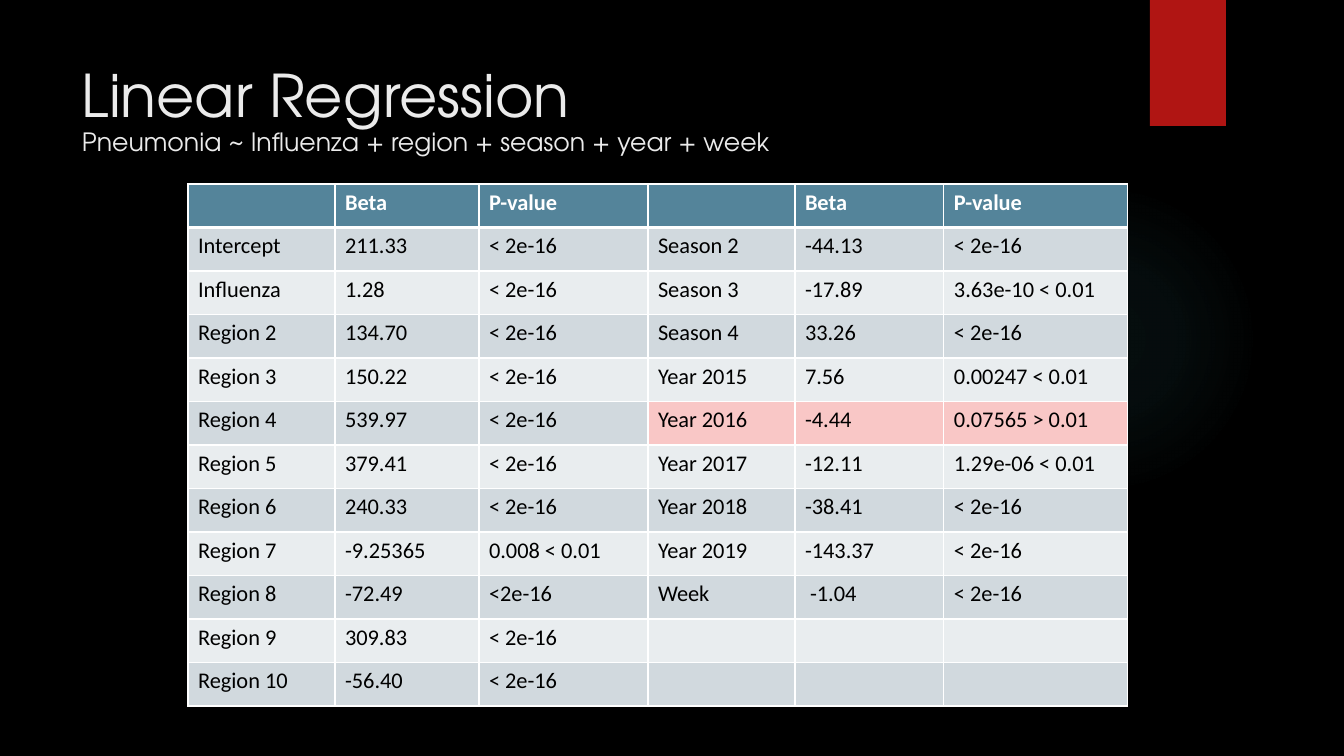
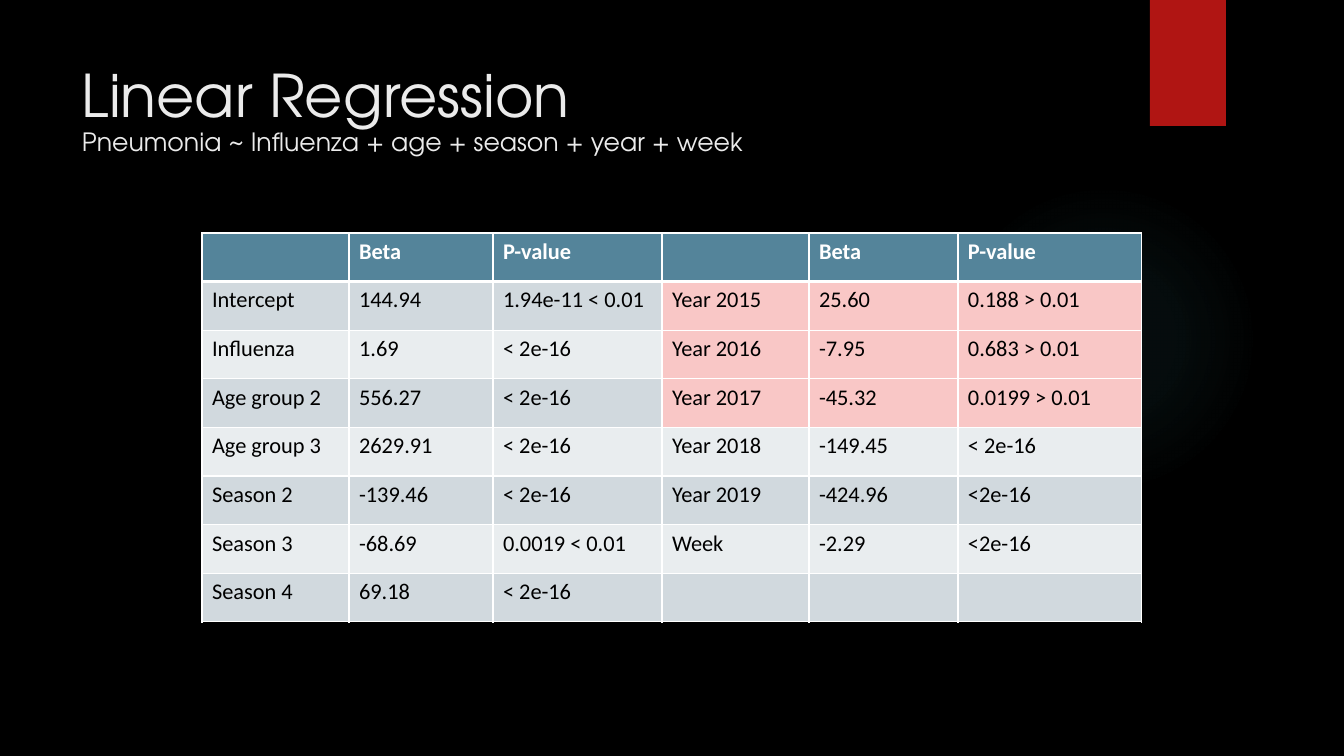
from dataclasses import dataclass

from lxml import etree
from pptx import Presentation, util as u
from pptx.dml.color import RGBColor
from pptx.enum import shapes, text
from pptx.oxml import ns, parse_xml

BLACK = RGBColor(0x00, 0x00, 0x00)
WHITE = RGBColor(0xFF, 0xFF, 0xFF)
TITLE_COLOR = RGBColor(0xEB, 0xEB, 0xEB)
RED = RGBColor(0xB0, 0x15, 0x13)
GLOW = RGBColor(0x50, 0xB9, 0xC1)
HEADER = RGBColor(0x54, 0x84, 0x9A)
BAND_DARK = RGBColor(0xD1, 0xD9, 0xDE)
BAND_LIGHT = RGBColor(0xE9, 0xED, 0xEF)
HIGHLIGHT = RGBColor(0xF9, 0xC7, 0xC6)

TITLE_FONT = "TeX Gyre Adventor"
TABLE_FONT = "Calibri"
PX_PER_INCH = 100.8
COLUMN_WIDTHS = (147, 144, 169, 147, 149, 184)
HALF = len(COLUMN_WIDTHS) // 2
HEADINGS = ("", "Beta", "P-value") * 2
GLOW_STOPS = ((0, 7), (36, 6), (69, 0))
SMALL = "< 2e-16"
EMPTY = ("", "", "")


@dataclass(frozen=True)
class RegressionSlide:
    formula: str
    left: int
    top: int
    height: int
    rows: tuple[tuple[str, ...], ...]


REGRESSIONS = (
    RegressionSlide(
        "Pneumonia ~ Influenza + region + season + year + week", 188, 184, 522,
        (
            ("Intercept", "211.33", SMALL, "Season 2", "-44.13", SMALL),
            ("Influenza", "1.28", SMALL, "Season 3", "-17.89", "3.63e-10 < 0.01"),
            ("Region 2", "134.70", SMALL, "Season 4", "33.26", SMALL),
            ("Region 3", "150.22", SMALL, "Year 2015", "7.56", "0.00247 < 0.01"),
            ("Region 4", "539.97", SMALL, "Year 2016", "-4.44", "0.07565 > 0.01"),
            ("Region 5", "379.41", SMALL, "Year 2017", "-12.11", "1.29e-06 < 0.01"),
            ("Region 6", "240.33", SMALL, "Year 2018", "-38.41", SMALL),
            ("Region 7", "-9.25365", "0.008 < 0.01", "Year 2019", "-143.37", SMALL),
            ("Region 8", "-72.49", "<2e-16", "Week", " -1.04", SMALL),
            ("Region 9", "309.83", SMALL, *EMPTY),
            ("Region 10", "-56.40", SMALL, *EMPTY),
        ),
    ),
    RegressionSlide(
        "Pneumonia ~ Influenza + age + season + year + week", 202, 233, 389,
        (
            ("Intercept", "144.94", "1.94e-11 < 0.01", "Year 2015", "25.60", "0.188 > 0.01"),
            ("Influenza", "1.69", SMALL, "Year 2016", "-7.95", "0.683 > 0.01"),
            ("Age group 2", "556.27", SMALL, "Year 2017", "-45.32", "0.0199 > 0.01"),
            ("Age group 3", "2629.91", SMALL, "Year 2018", "-149.45", SMALL),
            ("Season 2", "-139.46", SMALL, "Year 2019", "-424.96", "<2e-16"),
            ("Season 3", "-68.69", "0.0019 < 0.01", "Week", "-2.29", "<2e-16"),
            ("Season 4", "69.18", SMALL, *EMPTY),
        ),
    ),
)


def px(length: float) -> int:
    return round(length * 914400 / PX_PER_INCH)


def write(paragraph, content: str, *, font: str, size: int, color: RGBColor, bold: bool = False) -> None:
    run = paragraph.add_run()
    run.text = content
    run.font.name = font
    run.font.size = u.Pt(size)
    run.font.bold = bold
    run.font.color.rgb = color


def add_plain_shape(slide, kind, left: int, top: int, width: int, height: int):
    shape = slide.shapes.add_shape(kind, px(left), px(top), px(width), px(height))
    shape.shadow.inherit = False
    shape.line.fill.background()
    return shape


def add_glow(slide) -> None:
    glow = add_plain_shape(slide, shapes.MSO_SHAPE.OVAL, 949, 184, 310, 310)
    stops = "".join(
        f'<a:gs pos="{position * 1000}"><a:srgbClr val="{GLOW}">'
        f'<a:alpha val="{alpha * 1000}"/></a:srgbClr></a:gs>'
        for position, alpha in GLOW_STOPS
    )
    gradient = parse_xml(
        f'<a:gradFill {ns.nsdecls("a")} rotWithShape="1"><a:gsLst>{stops}</a:gsLst>'
        '<a:path path="circle"><a:fillToRect l="50000" t="50000" r="50000" b="50000"/>'
        '</a:path></a:gradFill>'
    )
    glow.element.spPr.find(ns.qn("a:prstGeom")).addnext(gradient)


def add_ribbon(slide) -> None:
    ribbon = add_plain_shape(slide, shapes.MSO_SHAPE.RECTANGLE, 1150, 0, 76, 126)
    ribbon.fill.solid()
    ribbon.fill.fore_color.rgb = RED


def add_title(slide, formula: str) -> None:
    frame = slide.shapes.add_textbox(px(72), px(50), px(1037), px(154)).text_frame
    frame.word_wrap = True
    frame.vertical_anchor = text.MSO_ANCHOR.MIDDLE
    frame.margin_bottom = px(35)
    paragraph = frame.paragraphs[0]
    paragraph.line_spacing = 0.9
    write(paragraph, "Linear Regression", font=TITLE_FONT, size=42, color=TITLE_COLOR)
    paragraph.add_line_break()
    write(paragraph, formula, font=TITLE_FONT, size=18, color=TITLE_COLOR)


def set_borders(cell, *, top: int, bottom: int) -> None:
    properties = cell._tc.get_or_add_tcPr()
    edges = (("lnL", 1), ("lnR", 1), ("lnT", top), ("lnB", bottom))
    for index, (edge, width) in enumerate(edges):
        line = etree.Element(ns.qn(f"a:{edge}"), w=str(u.Pt(width)))
        fill = etree.SubElement(line, ns.qn("a:solidFill"))
        etree.SubElement(fill, ns.qn("a:srgbClr"), val=str(WHITE))
        properties.insert(index, line)


def cell_fill(row: tuple[str, ...], row_index: int, column_index: int) -> RGBColor:
    if row_index == 0:
        return HEADER
    p_value = row[HALF - 1 if column_index < HALF else -1]
    if ">" in p_value:
        return HIGHLIGHT
    return BAND_DARK if row_index % 2 else BAND_LIGHT


def add_regression_table(slide, regression: RegressionSlide) -> None:
    rows = (HEADINGS, *regression.rows)
    table = slide.shapes.add_table(
        len(rows), len(COLUMN_WIDTHS), px(regression.left), px(regression.top),
        px(sum(COLUMN_WIDTHS)), px(regression.height),
    ).table
    table.horz_banding = False
    for column, width in zip(table.columns, COLUMN_WIDTHS):
        column.width = px(width)
    for row_index, row in enumerate(rows):
        table.rows[row_index].height = px(regression.height / len(rows))
        is_header = row_index == 0
        for column_index, content in enumerate(row):
            cell = table.cell(row_index, column_index)
            cell.fill.solid()
            cell.fill.fore_color.rgb = cell_fill(row, row_index, column_index)
            set_borders(cell, top=3 if row_index == 1 else 1, bottom=3 if is_header else 1)
            if content:
                write(cell.text_frame.paragraphs[0], content, font=TABLE_FONT, size=16,
                      color=WHITE if is_header else BLACK, bold=is_header)


def main() -> None:
    presentation = Presentation()
    presentation.slide_width = px(1344)
    presentation.slide_height = px(756)
    background = presentation.slide_master.background.fill
    background.solid()
    background.fore_color.rgb = BLACK
    for regression in REGRESSIONS:
        slide = presentation.slides.add_slide(presentation.slide_layouts[6])
        add_glow(slide)
        add_ribbon(slide)
        add_title(slide, regression.formula)
        add_regression_table(slide, regression)
    presentation.save("out.pptx")


if __name__ == "__main__":
    main()
